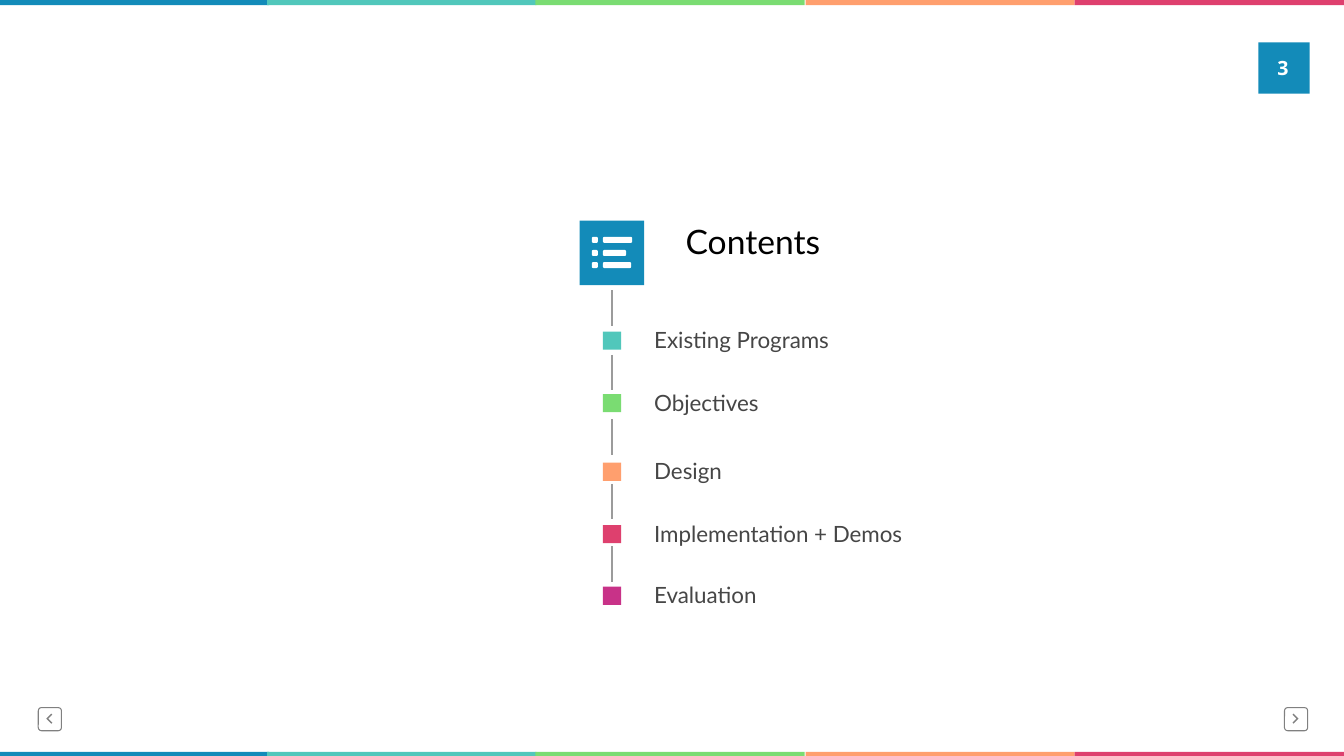
from pptx import Presentation
from pptx.dml.color import RGBColor
from pptx.enum.shapes import MSO_CONNECTOR, MSO_SHAPE
from pptx.enum.text import MSO_ANCHOR, PP_ALIGN
from pptx.oxml.xmlchemy import OxmlElement
from pptx.util import Inches, Pt

RECTANGLE = MSO_SHAPE.RECTANGLE
ROUNDED = MSO_SHAPE.ROUNDED_RECTANGLE
STRAIGHT = MSO_CONNECTOR.STRAIGHT
TOP, MIDDLE = MSO_ANCHOR.TOP, MSO_ANCHOR.MIDDLE
LEFT, CENTER = PP_ALIGN.LEFT, PP_ALIGN.CENTER

WIDTH, HEIGHT = 13.33, 7.5
COLORS = {
    "blue": "138BB9",
    "teal": "51C7BB",
    "green": "7ADC72",
    "orange": "FF9F6E",
    "red": "DE406E",
    "magenta": "C83288",
    "line": "9B9B9B",
    "arrow": "808080",
    "text": "464646",
    "black": "000000",
    "white": "FFFFFF",
}
STRIPES = [(0, "blue"), (2.65, "teal"), (5.31, "green"), (7.99, "orange"), (10.66, "red")]
ENTRIES = [
    ("Existing Programs", "teal", 2.88, 3.29),
    ("Objectives", "green", 3.52, 3.91),
    ("Design", "orange", 4.16, 4.59),
    ("Implementation + Demos", "red", 4.8, 5.21),
    ("Evaluation", "magenta", 5.42, 5.82),
]
ICON_ROWS = [(2.35, 0.29), (2.48, 0.23), (2.6, 0.28)]
CHEVRON = [(12.82, 7.09), (12.86, 7.13), (12.82, 7.17), (12.83, 7.18), (12.88, 7.13), (12.83, 7.08)]


def color(name):
    """Return the named colour."""
    return RGBColor.from_string(COLORS[name])


class SlideBuilder:
    """Draws styled elements on one slide."""

    def __init__(self, slide, font="Lato"):
        self.slide = slide
        self.font = font

    def paint(self, shape, fill=None, outline=None):
        """Set the fill and outline of a shape and drop its shadow."""
        shape.shadow.inherit = False
        if fill:
            shape.fill.solid()
            shape.fill.fore_color.rgb = color(fill)
        else:
            shape.fill.background()
        if outline:
            shape.line.color.rgb = color(outline)
            shape.line.width = Pt(0.75)
        else:
            shape.line.fill.background()

    def block(self, left, top, width, height, fill=None, outline=None, rounding=0):
        """Add a rectangle, rounded where asked."""
        kind = ROUNDED if rounding else RECTANGLE
        shape = self.slide.shapes.add_shape(
            kind, Inches(left), Inches(top), Inches(width), Inches(height))
        if rounding:
            shape.adjustments[0] = rounding
        self.paint(shape, fill, outline)

    def polygon(self, points, fill):
        """Add a closed polygon."""
        corners = [(Inches(x), Inches(y)) for x, y in points]
        builder = self.slide.shapes.build_freeform(*corners[0])
        builder.add_line_segments(corners[1:], close=True)
        self.paint(builder.convert_to_shape(), fill)

    def vertical_line(self, x, top, length):
        """Add a thin vertical connector."""
        line = self.slide.shapes.add_connector(
            STRAIGHT, Inches(x), Inches(top), Inches(x), Inches(top + length))
        line.line.color.rgb = color("line")
        line.line.width = Pt(1)
        line._element.spPr.append(OxmlElement("a:effectLst"))

    def set_text(self, shape, text, size, ink, align=LEFT, anchor=TOP, font=None, bold=False):
        """Put one formatted run into a shape."""
        frame = shape.text_frame
        frame.word_wrap = True
        frame.vertical_anchor = anchor
        paragraph = frame.paragraphs[0]
        paragraph.alignment = align
        run = paragraph.add_run()
        run.text = text
        run.font.name = font or self.font
        run.font.size = Pt(size)
        run.font.bold = bold
        run.font.color.rgb = color(ink)

    def title(self, left, top, width, height, text):
        """Place and fill the title placeholder."""
        shape = self.slide.shapes.title
        shape.left, shape.top = Inches(left), Inches(top)
        shape.width, shape.height = Inches(width), Inches(height)
        self.set_text(shape, text, 24, "black")

    def label(self, left, top, width, height, text, size, ink, **style):
        """Add a text box."""
        shape = self.slide.shapes.add_textbox(
            Inches(left), Inches(top), Inches(width), Inches(height))
        self.set_text(shape, text, size, ink, **style)


def main():
    """Build the contents slide."""
    presentation = Presentation()
    presentation.slide_width = Inches(WIDTH)
    presentation.slide_height = Inches(HEIGHT)
    builder = SlideBuilder(presentation.slides.add_slide(presentation.slide_layouts[5]))

    for top in (HEIGHT - 0.04, 0):
        for left, fill in STRIPES:
            builder.block(left, top, 2.67, 0.05, fill)

    builder.block(12.48, 0.42, 0.51, 0.51, "blue")
    builder.label(12.45, 0.47, 0.55, 0.4, "3", 14, "white",
                  align=CENTER, anchor=MIDDLE, font="Open Sans", bold=True)

    for left in (0.38, 12.74):
        builder.block(left, 7.02, 0.23, 0.23, outline="arrow", rounding=0.14)
    builder.polygon(CHEVRON, "arrow")
    builder.polygon([(WIDTH + 0.01 - x, y) for x, y in CHEVRON], "arrow")

    builder.title(6.7, 2.14, 1.55, 0.5, "Contents")
    builder.block(5.75, 2.19, 0.64, 0.64, "blue")
    for top, width in ICON_ROWS:
        builder.block(5.87, top, 0.06, 0.06, "white", rounding=0.25)
        builder.block(5.98, top, width, 0.06, "white", rounding=0.25)

    for text, fill, line_top, marker_top in ENTRIES:
        builder.vertical_line(6.07, line_top, 0.35)
        builder.block(5.98, marker_top, 0.18, 0.18, fill)
        builder.label(6.39, marker_top - 0.1, 2.7, 0.37, text, 16, "text")

    presentation.save("out.pptx")


if __name__ == "__main__":
    main()
